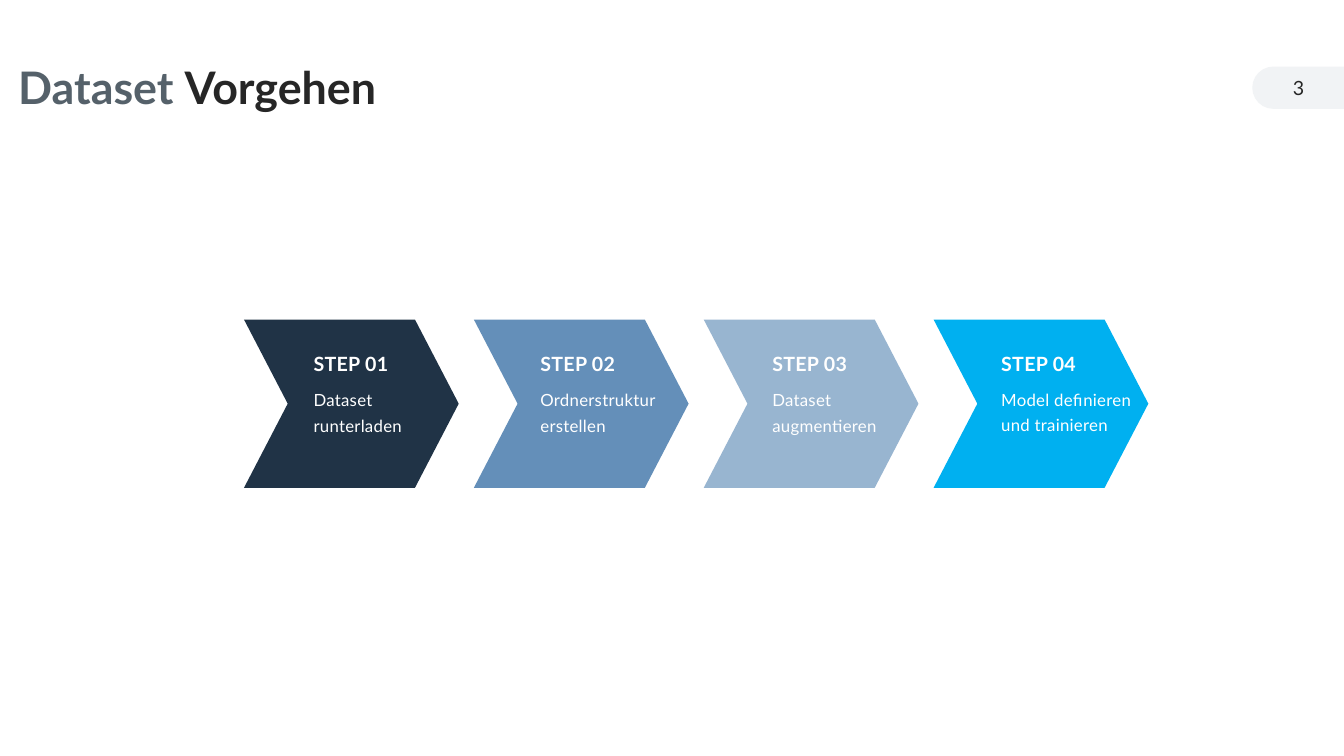
"""Build the slide "Dataset Vorgehen" with four process steps."""
from dataclasses import dataclass
from typing import Any

import pptx
import pptx.dml.color
import pptx.enum.shapes
import pptx.enum.text
import pptx.util

Inches = pptx.util.Inches
Shapes = pptx.enum.shapes.MSO_SHAPE
Anchor = pptx.enum.text.MSO_ANCHOR
Align = pptx.enum.text.PP_ALIGN
AutoSize = pptx.enum.text.MSO_AUTO_SIZE

FONT = "Lato"
DARK = "262626"
WHITE = "FFFFFF"
FIRST_STEP_LEFT = 2.42
STEP_PITCH = 2.28


@dataclass
class Box:
    left: float
    top: float
    width: float
    height: float

    def lengths(self) -> list[int]:
        return [Inches(value) for value in (self.left, self.top, self.width, self.height)]


@dataclass
class TextRun:
    text: str
    size: float
    color: str
    bold: bool = False
    spacing: float = 0


@dataclass
class Step:
    description: str
    color: str
    text_left: float
    text_height: float = 0.61


STEPS = [
    Step("Dataset runterladen", "203346", 3.11),
    Step("Ordnerstruktur erstellen", "648FB9", 5.36),
    Step("Dataset augmentieren", "98B5D0", 7.66),
    Step("Model definieren und trainieren", "00B0F0", 9.93, 0.86),
]


def rgb(color: str) -> pptx.dml.color.RGBColor:
    """Turn a hex string into a colour."""
    return pptx.dml.color.RGBColor.from_string(color)


def add_filled_shape(shapes: Any, kind: Any, box: Box, color: str, adjustments: list[float]) -> Any:
    """Add a preset shape with a plain fill and no line."""
    shape = shapes.add_shape(kind, *box.lengths())
    for index, value in enumerate(adjustments):
        shape.adjustments[index] = value
    shape.shadow.inherit = False
    shape.fill.solid()
    shape.fill.fore_color.rgb = rgb(color)
    shape.line.fill.background()
    return shape


def add_text(
    shapes: Any,
    box: Box,
    runs: list[TextRun],
    line_spacing: float = 1.0,
    anchor: Any = Anchor.TOP,
    align: Any = Align.LEFT,
    wrap: bool = True,
    grow: bool = False,
) -> None:
    """Add a text box holding one paragraph."""
    frame = shapes.add_textbox(*box.lengths()).text_frame
    frame.margin_left = frame.margin_right = 0
    frame.word_wrap = wrap
    frame.vertical_anchor = anchor
    frame.auto_size = AutoSize.SHAPE_TO_FIT_TEXT if grow else AutoSize.NONE
    paragraph = frame.paragraphs[0]
    paragraph.alignment = align
    paragraph.line_spacing = line_spacing
    for item in runs:
        run = paragraph.add_run()
        run.text = item.text
        run.font.name = FONT
        run.font.size = pptx.util.Pt(item.size)
        run.font.bold = item.bold
        run.font.color.rgb = rgb(item.color)
        if item.spacing:
            run._r.get_or_add_rPr().set("spc", str(round(item.spacing * 100)))


def add_page_number(shapes: Any) -> None:
    """Add the page number on its tab at the right edge."""
    tab = add_filled_shape(
        shapes, Shapes.ROUND_2_SAME_RECTANGLE, Box(12.67, 0.41, 0.42, 0.92), "F1F3F5", [0.5, 0]
    )
    tab.rotation = 270
    add_text(
        shapes,
        Box(12.42, 0.67, 0.92, 0.4),
        [TextRun("3", 14, DARK)],
        anchor=Anchor.MIDDLE,
        align=Align.CENTER,
    )


def add_step(shapes: Any, index: int, step: Step) -> None:
    """Add one chevron with its heading and description as a group."""
    group = shapes.add_group_shape().shapes
    left = FIRST_STEP_LEFT + index * STEP_PITCH
    add_filled_shape(group, Shapes.CHEVRON, Box(left, 3.17, 2.13, 1.67), step.color, [0.26])
    add_text(
        group,
        Box(step.text_left, 3.38, 0.75, 0.4),
        [TextRun(f"STEP {index + 1:02d}", 14, WHITE, True, 0.2)],
        line_spacing=1.25,
        wrap=False,
        grow=True,
    )
    add_text(
        group,
        Box(step.text_left, 3.77, 1.31, step.text_height),
        [TextRun(step.description, 12, WHITE, False, 0.2)],
        line_spacing=1.25,
        grow=True,
    )


def main() -> None:
    """Build and save the presentation."""
    presentation = pptx.Presentation()
    presentation.slide_width = Inches(13.33)
    presentation.slide_height = Inches(7.5)
    slide = presentation.slides.add_slide(presentation.slide_layouts[6])
    add_page_number(slide.shapes)
    for index, step in enumerate(STEPS):
        add_step(slide.shapes, index, step)
    add_text(
        slide.shapes,
        Box(0.18, 0.45, 6.58, 0.88),
        [TextRun("Dataset ", 32, "55616A", True), TextRun("Vorgehen", 32, DARK, True)],
        line_spacing=0.9,
        anchor=Anchor.MIDDLE,
    )
    presentation.save("out.pptx")


if __name__ == "__main__":
    main()
